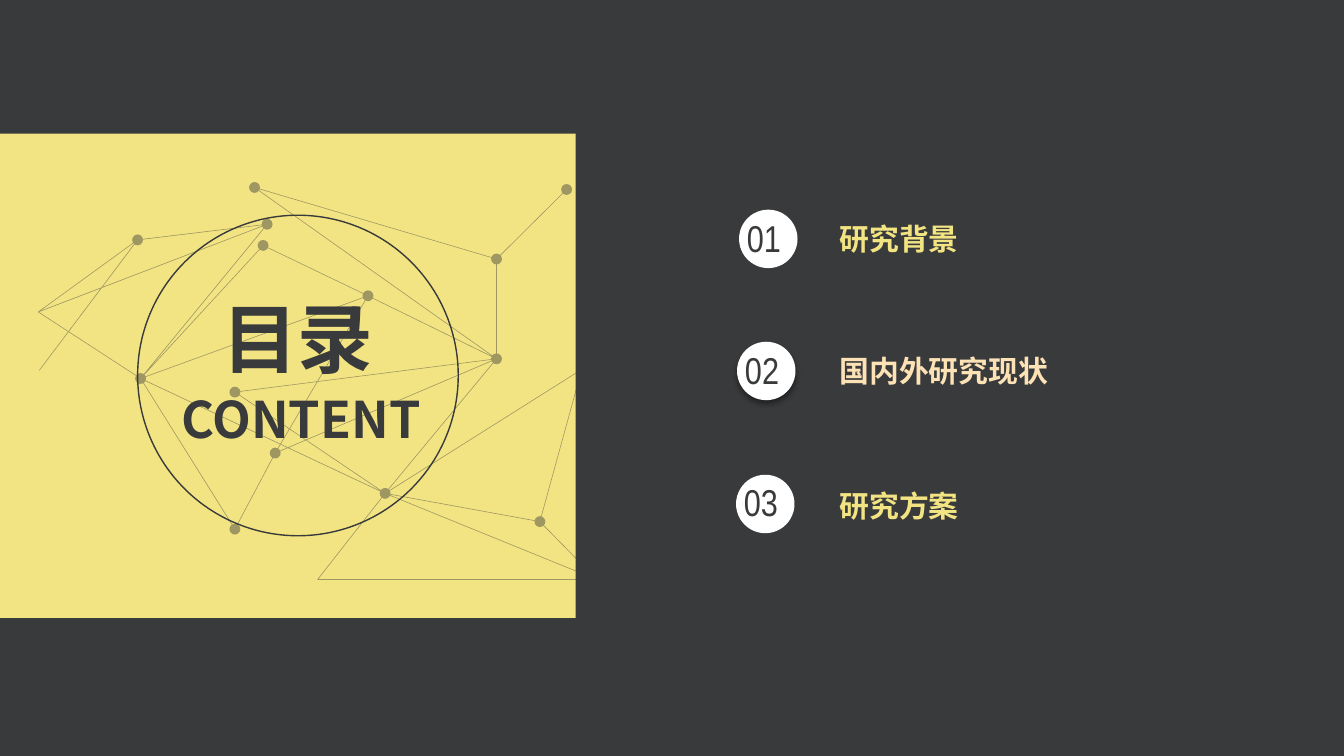
from dataclasses import dataclass
import math

import pptx
import pptx.dml.color
import pptx.enum.shapes
import pptx.enum.text
import pptx.oxml
import pptx.oxml.ns
import pptx.util
from pptx.shapes.autoshape import Shape

COLORS = {"dark": "383A3B", "yellow": "F3E483", "peach": "FDE2B6", "white": "FFFFFF"}
TITLE_FONT, NUMBER_FONT = "Noto Sans CJK SC", "Arial Narrow"
NAMESPACE = pptx.oxml.ns.nsdecls("a")

# The grid: square cells, all lengths below are in columns and rows
COLUMNS, ROWS = 133.3, 75
CELL = pptx.util.Inches(7.5) / ROWS
BADGE_SIZE = 5.8
DOT_RADIUS, DOT_CORNERS = 0.54, 12
EDGE_WIDTH = 0.06
NETWORK_ALPHA = 45

Point = tuple[float, float]


@dataclass(frozen=True)
class Node:
    column: float
    row: float
    dotted: bool = True


@dataclass(frozen=True)
class Caption:
    text: str
    left: float
    top: float
    width: float
    height: float
    size: float
    color: str = "dark"
    font: str = TITLE_FONT
    bold: bool = True
    centered: bool = False
    wrap: bool = False


@dataclass(frozen=True)
class Entry:
    badge_left: float
    badge_top: float
    number: Caption
    label: Caption
    shadow: bool = False


NODES = {
    "A": Node(13.65, 23.8), "B": Node(26.5, 22.25), "C": Node(26.1, 24.35),
    "D": Node(25.25, 18.6), "E": Node(36.5, 29.35), "F": Node(49.25, 25.7),
    "G": Node(56.2, 18.8), "H": Node(49.25, 35.6), "J": Node(13.95, 37.55),
    "K": Node(23.3, 38.9), "L": Node(27.3, 44.95), "M": Node(23.3, 52.5),
    "N": Node(38.2, 48.95), "O": Node(53.55, 51.75),
    "P": Node(3.8, 30.95, False), "Q": Node(3.9, 36.75, False),
    "R": Node(31.5, 57.5, False), "S": Node(59.2, 57.5, False),
    "T": Node(57.7, 36.65, False),
}
EDGES = ("PA PB PJ QA AB BJ CJ CE DF DH FG FH EH EJ EL KH KN JN JM "
         "LM LH HN NR NO NS NT OT OS RS ST").split()

HEADINGS = [
    Caption("目录", 16.15, 28.5, 26.8, 10.1, 54, centered=True, wrap=True),
    Caption("CONTENT", 16.25, 38, 27.2, 7.1, 36, centered=True),
]


def number(text: str, left: float, top: float, width: float) -> Caption:
    return Caption(text, left, top, width, 5.5, 26.7, font=NUMBER_FONT, bold=False)


def label(text: str, top: float, width: float, color: str = "yellow",
          wrap: bool = False) -> Caption:
    return Caption(text, 82.3, top, width, 4.6, 21.3, color, wrap=wrap)


ENTRIES = [
    Entry(73.3, 20.8, number("01", 73.1, 20.8, 5.4), label("研究背景", 21.4, 14)),
    Entry(73.1, 33.9, number("02", 72.9, 33.9, 5.9),
          label("国内外研究现状", 34.5, 24.2, "peach", wrap=True), shadow=True),
    Entry(73, 47.1, number("03", 72.8, 47, 6), label("研究方案", 47.9, 14)),
]


def grid(cells: float) -> int:
    return round(cells * CELL)


def rgb(name: str) -> pptx.dml.color.RGBColor:
    return pptx.dml.color.RGBColor.from_string(COLORS[name])


def paint(shape: Shape, fill: str = "", line: str = "") -> None:
    shape.shadow.inherit = False
    if fill:
        shape.fill.solid()
        shape.fill.fore_color.rgb = rgb(fill)
    else:
        shape.fill.background()
    if line:
        shape.line.color.rgb = rgb(line)
        shape.line.width = pptx.util.Pt(1)
    else:
        shape.line.fill.background()


def add_figure(shapes, kind, left: float, top: float, width: float, height: float,
               fill: str = "", line: str = "") -> Shape:
    shape = shapes.add_shape(kind, grid(left), grid(top), grid(width), grid(height))
    paint(shape, fill, line)
    return shape


def add_caption(shapes, caption: Caption) -> None:
    box = shapes.add_textbox(grid(caption.left), grid(caption.top),
                             grid(caption.width), grid(caption.height))
    box.text_frame.word_wrap = caption.wrap
    box.text_frame.auto_size = pptx.enum.text.MSO_AUTO_SIZE.SHAPE_TO_FIT_TEXT
    paragraph = box.text_frame.paragraphs[0]
    paragraph.text = caption.text
    if caption.centered:
        paragraph.alignment = pptx.enum.text.PP_ALIGN.CENTER
    font = paragraph.font
    font.name, font.bold = caption.font, caption.bold
    font.size = pptx.util.Pt(caption.size)
    font.color.rgb = rgb(caption.color)
    paragraph._p.get_or_add_pPr().get_or_add_defRPr().append(pptx.oxml.parse_xml(
        f'<a:ea {NAMESPACE} typeface="{caption.font}"/>'))


def dot_outline(node: Node) -> list[Point]:
    angles = [math.tau * corner / DOT_CORNERS for corner in range(DOT_CORNERS)]
    return [(node.column + DOT_RADIUS * math.cos(angle),
             node.row + DOT_RADIUS * math.sin(angle)) for angle in angles]


def edge_outline(first: Node, second: Node) -> list[Point]:
    """A thin strip between two nodes that stops at the rims of their dots."""
    across, down = second.column - first.column, second.row - first.row
    length = math.hypot(across, down)
    across, down = across / length, down / length
    start = DOT_RADIUS if first.dotted else 0
    end = length - (DOT_RADIUS if second.dotted else 0)
    half = EDGE_WIDTH / 2
    return [(first.column + along * across - side * down,
             first.row + along * down + side * across)
            for along, side in ((start, half), (end, half), (end, -half), (start, -half))]


def add_network(shapes) -> None:
    outlines = [edge_outline(NODES[first], NODES[second]) for first, second in EDGES]
    outlines += [dot_outline(node) for node in NODES.values() if node.dotted]
    contours = [[(grid(column), grid(row)) for column, row in outline]
                for outline in outlines]
    builder = shapes.build_freeform(*contours[0][0], scale=1.0)
    builder.add_line_segments(contours[0][1:], close=True)
    for start, *others in contours[1:]:
        builder.move_to(*start)
        builder.add_line_segments(others, close=True)
    network = builder.convert_to_shape()
    paint(network, "dark")
    color = network._element.spPr.find(".//" + pptx.oxml.ns.qn("a:srgbClr"))
    color.append(pptx.oxml.parse_xml(
        f'<a:alpha {NAMESPACE} val="{NETWORK_ALPHA * 1000}"/>'))


def add_entry(shapes, entry: Entry) -> None:
    members = shapes.add_group_shape().shapes
    badge = add_figure(members, pptx.enum.shapes.MSO_SHAPE.OVAL, entry.badge_left,
                       entry.badge_top, BADGE_SIZE, BADGE_SIZE, "white")
    if entry.shadow:
        effects = badge._element.spPr.find(pptx.oxml.ns.qn("a:effectLst"))
        effects.append(pptx.oxml.parse_xml(
            f'<a:outerShdw {NAMESPACE} blurRad="{pptx.util.Pt(4)}" dist="{pptx.util.Pt(3)}" '
            'dir="5400000" algn="t" rotWithShape="0">'
            '<a:srgbClr val="000000"><a:alpha val="40000"/></a:srgbClr></a:outerShdw>'))
    add_caption(members, entry.number)


def main() -> None:
    presentation = pptx.Presentation()
    presentation.slide_width = grid(COLUMNS)
    presentation.slide_height = grid(ROWS)
    slide = presentation.slides.add_slide(presentation.slide_layouts[6])
    slide.background.fill.solid()
    slide.background.fill.fore_color.rgb = rgb("dark")
    shapes = slide.shapes
    kinds = pptx.enum.shapes.MSO_SHAPE

    # Panel, ring and network
    add_figure(shapes, kinds.RECTANGLE, 0, 13.25, 57.1, 48.05, "yellow")
    add_figure(shapes, kinds.OVAL, 13.65, 21.35, 31.8, 31.8, line="dark")
    add_network(shapes)

    # Headings and the list of contents
    for heading in HEADINGS:
        add_caption(shapes, heading)
    for entry in ENTRIES:
        add_entry(shapes, entry)
    for entry in ENTRIES:
        add_caption(shapes, entry.label)

    presentation.save("out.pptx")


if __name__ == "__main__":
    main()
